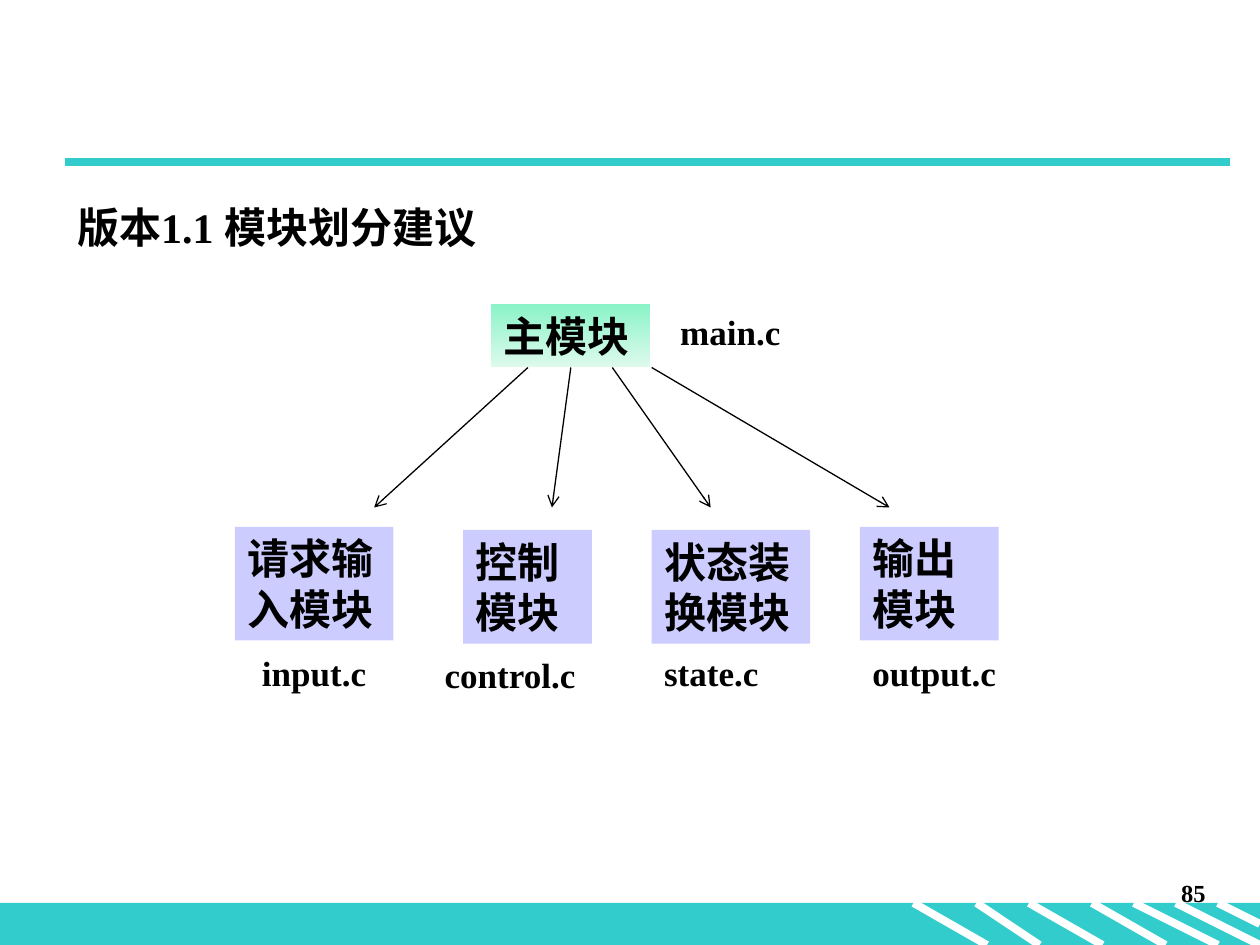
from lxml import etree
from pptx import Presentation, util as u
from pptx.dml.color import RGBColor
from pptx.enum import shapes, text
from pptx.oxml.ns import qn

COLORS = {
    "teal": "33CCCC",
    "white": "FFFFFF",
    "black": "000000",
    "lavender": "CCCCFF",
    "mint": "8AF3C7",
    "pale_mint": "DDFAED",
}
FONT = "Times New Roman"


def rgb(name):
    return RGBColor.from_string(COLORS[name])


def add_text(sp, content, size, align=text.PP_ALIGN.LEFT):
    tf = sp.text_frame
    tf.word_wrap = True
    tf.vertical_anchor = text.MSO_ANCHOR.TOP
    p = tf.paragraphs[0]
    p.alignment = align
    r = p.add_run()
    r.text = content
    r.font.size = u.Pt(size)
    r.font.name = FONT
    r.font.bold = True
    r.font.color.rgb = rgb("black")


def add_label(s, content, x, y, w, h, size=20, align=text.PP_ALIGN.LEFT):
    sp = s.shapes.add_textbox(u.Pt(x), u.Pt(y), u.Pt(w), u.Pt(h))
    add_text(sp, content, size, align)


def add_box(s, x, y, w, h, fill, fade=None, content=None):
    sp = s.shapes.add_shape(
        shapes.MSO_SHAPE.RECTANGLE, u.Pt(x), u.Pt(y), u.Pt(w), u.Pt(h))
    sp.shadow.inherit = False
    sp.line.fill.background()
    if fade:
        sp.fill.gradient()
        sp.fill.gradient_angle = 270
        for stop, color in zip(sp.fill.gradient_stops, (fill, fade)):
            stop.color.rgb = rgb(color)
    else:
        sp.fill.solid()
        sp.fill.fore_color.rgb = rgb(fill)
    if content:
        add_text(sp, content, 24)


def add_line(s, x1, y1, x2, y2, color, width, arrow=False):
    ln = s.shapes.add_connector(
        shapes.MSO_CONNECTOR.STRAIGHT, u.Pt(x1), u.Pt(y1), u.Pt(x2), u.Pt(y2))
    ln.line.color.rgb = rgb(color)
    ln.line.width = u.Pt(width)
    if arrow:
        etree.SubElement(ln.line._get_or_add_ln(), qn("a:tailEnd"), type="arrow")
    etree.SubElement(ln._element.spPr, qn("a:effectLst"))


def add_frame(s):
    top, bottom = 516, 540
    add_box(s, 0, top, 720, bottom - top, "teal")
    stripes = [(522, 564), (558, 594), (588, 630), (624, 666),
               (648, 696), (672, 720)]
    for x1, x2 in stripes:
        add_line(s, x1, top, x2, bottom, "white", 4.5)
    add_line(s, 696, top, 720, 528, "white", 4.5)
    add_line(s, 37, 92.8, 703, 92.8, "teal", 4.5)
    add_label(s, "85", 546, 498, 150, 36, 14, text.PP_ALIGN.RIGHT)


def add_modules(s):
    add_box(s, 280.6, 173.7, 90.8, 36, "mint", "pale_mint", "主模块")
    add_label(s, "main.c", 381.6, 173.7, 73.6, 31.5)
    modules = [
        ("请求输入模块", 134.2, 301, 90.6, "input.c", 142.6, 82, 301.7, 213.8),
        ("控制模块", 264.7, 302.8, 73.5, "control.c", 247, 103, 326.2, 315.4),
        ("状态装换模块", 372.4, 302.8, 90.6, "state.c", 372.4, 82, 349.9, 406.1),
        ("输出模块", 491.4, 301, 79.3, "output.c", 491.4, 102, 372.4, 508.3),
    ]
    for name, x, y, w, file, file_x, file_w, start, end in modules:
        add_box(s, x, y, w, 65, "lavender", content=name)
        file_y = 370.1 if file == "control.c" else 368.6
        add_label(s, file, file_x, file_y, file_w, 31.5)
        add_line(s, start, 210, end, 290, "black", 0.75, arrow=True)


def main():
    prs = Presentation()
    prs.slide_width, prs.slide_height = u.Pt(720), u.Pt(540)
    s = prs.slides.add_slide(prs.slide_layouts[6])
    add_frame(s)
    add_label(s, "版本1.1 模块划分建议", 37, 111.6, 369.4, 36, 24)
    add_modules(s)
    prs.save("out.pptx")


main()
